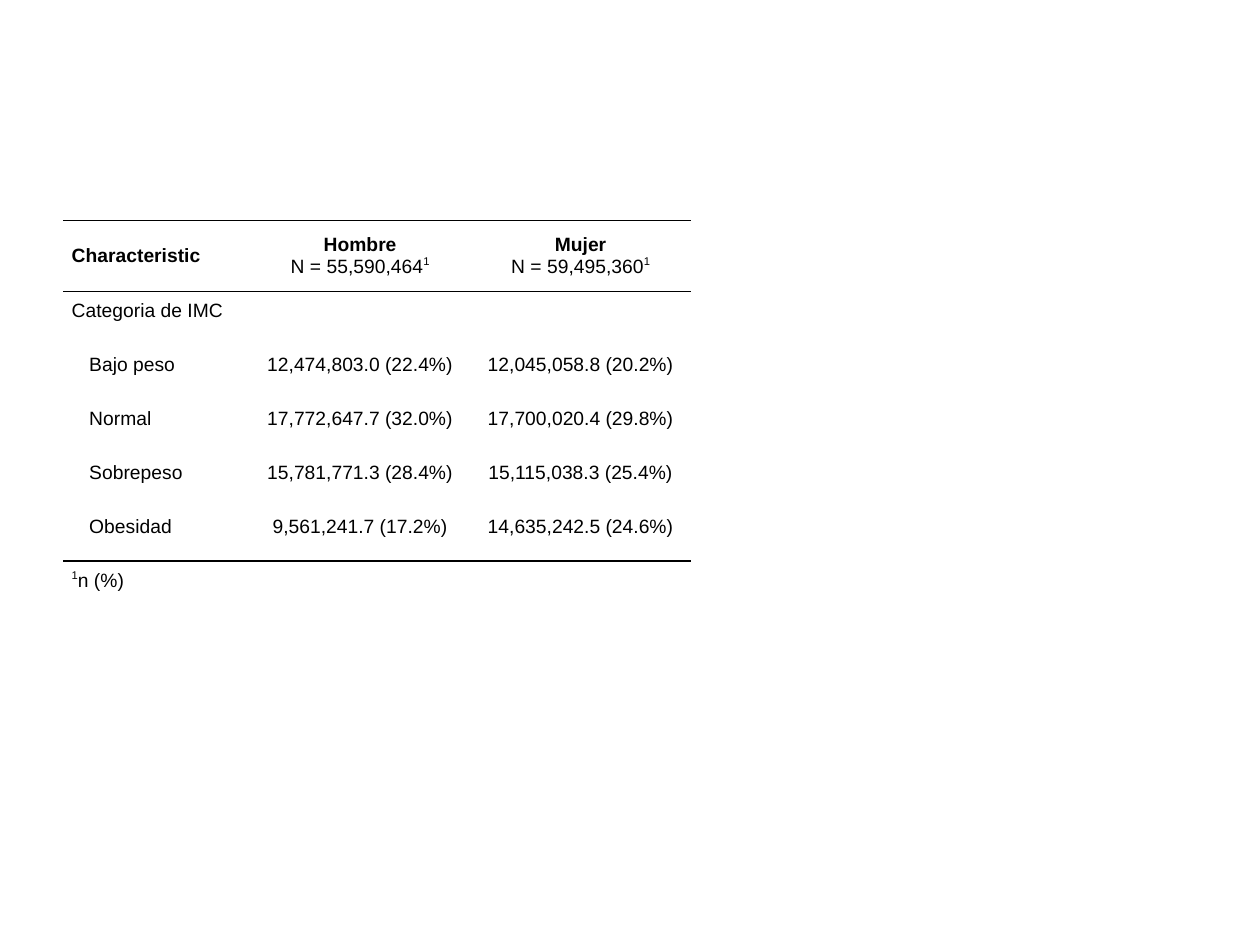
from pptx import Presentation
from pptx.dml.color import RGBColor
from pptx.enum.text import MSO_ANCHOR as Anchor, PP_ALIGN as Align
from pptx.oxml.ns import qn
from pptx.util import Pt
from lxml.etree import SubElement

BLACK = "000000"
NO_GRID_STYLE = "{2D5ABB26-0587-4C30-8999-92F81FD0307C}"
COLUMN_WIDTHS = (106.8, 126, 126)
ROW_HEIGHTS = (40.5, *[30.86] * 5, 18)
GROUPS = (("Hombre", "N = 55,590,464"), ("Mujer", "N = 59,495,360"))
CATEGORIES = (
    ("Bajo peso", "12,474,803.0 (22.4%)", "12,045,058.8 (20.2%)"),
    ("Normal", "17,772,647.7 (32.0%)", "17,700,020.4 (29.8%)"),
    ("Sobrepeso", "15,781,771.3 (28.4%)", "15,115,038.3 (25.4%)"),
    ("Obesidad", "9,561,241.7 (17.2%)", "14,635,242.5 (24.6%)"),
)


def color(hex_value):
    """Turn a hex string into a colour."""
    return RGBColor.from_string(hex_value)


def add_text(paragraph, text, bold=False, raised=False):
    """Add a run in the table's font, raised for a footnote mark."""
    run = paragraph.add_run()
    run.text = text
    run.font.name, run.font.size, run.font.bold = "Arial", Pt(11), bold
    run.font.color.rgb = color(BLACK)
    if raised:
        run.font._element.set("baseline", "40000")


def format_cell(cell, align=Align.LEFT, indent=5, spacing=5, anchor=Anchor.TOP):
    """Set a cell's margins and spacing, and return its paragraph."""
    cell.margin_left = cell.margin_right = 0
    cell.margin_top = cell.margin_bottom = Pt(spacing)
    cell.vertical_anchor = anchor
    cell.fill.background()
    paragraph = cell.text_frame.paragraphs[0]
    paragraph.alignment = align
    paragraph.space_before = paragraph.space_after = Pt(spacing)
    properties = paragraph._p.get_or_add_pPr()
    properties.set("marL", str(Pt(indent)))
    properties.set("marR", str(Pt(5)))
    properties.set("indent", "0")
    return paragraph


def add_borders(cell, *sides):
    """Draw thin black borders on the given sides, top before bottom."""
    properties = cell._tc.get_or_add_tcPr()
    for position, side in enumerate(sides):
        line = SubElement(properties, qn(f"a:ln{side}"), w=str(Pt(1)))
        fill = SubElement(line, qn("a:solidFill"))
        SubElement(fill, qn("a:srgbClr"), val=BLACK)
        properties.insert(position, line)


def add_plain_table(slide):
    """Add the table grid without banding or style."""
    frame = slide.shapes.add_table(
        len(ROW_HEIGHTS), len(COLUMN_WIDTHS), Pt(36), Pt(126),
        Pt(sum(COLUMN_WIDTHS)), Pt(sum(ROW_HEIGHTS)))
    table = frame.table
    table.first_row = table.horz_banding = False
    table._tbl.tblPr.find(qn("a:tableStyleId")).text = NO_GRID_STYLE
    for column, width in zip(table.columns, COLUMN_WIDTHS):
        column.width = Pt(width)
    for row, height in zip(table.rows, ROW_HEIGHTS):
        row.height = Pt(height)
    return table


def fill_header(table):
    """Write the column headings with their group sizes."""
    heading = format_cell(table.cell(0, 0), spacing=2, anchor=Anchor.MIDDLE)
    add_text(heading, "Characteristic", bold=True)
    for column, (name, size) in enumerate(GROUPS, 1):
        heading = format_cell(table.cell(0, column), Align.CENTER,
                              spacing=2, anchor=Anchor.MIDDLE)
        add_text(heading, name, bold=True)
        heading.add_line_break()
        add_text(heading, size)
        add_text(heading, "1", raised=True)


def fill_body(table):
    """Write the variable's name and its categories."""
    for row, texts in enumerate((("Categoria de IMC", "", ""), *CATEGORIES), 1):
        for column, text in enumerate(texts):
            align = Align.CENTER if column else Align.LEFT
            indent = 15 if row > 1 and column == 0 else 5
            add_text(format_cell(table.cell(row, column), align, indent), text)


def fill_footnote(table):
    """Write the footnote across the last row."""
    cell = table.cell(6, 0)
    cell.merge(table.cell(6, 2))
    footnote = format_cell(cell, anchor=Anchor.MIDDLE)
    add_text(footnote, "1", raised=True)
    add_text(footnote, "n (%)")


def main():
    """Build the slide and save it."""
    presentation = Presentation()
    presentation.slide_width, presentation.slide_height = Pt(720), Pt(540)
    slide = presentation.slides.add_slide(presentation.slide_layouts[6])
    table = add_plain_table(slide)
    fill_header(table)
    fill_body(table)
    fill_footnote(table)
    for column in range(len(COLUMN_WIDTHS)):
        add_borders(table.cell(0, column), "T", "B")
        add_borders(table.cell(5, column), "B")
    presentation.save("out.pptx")


if __name__ == "__main__":
    main()
